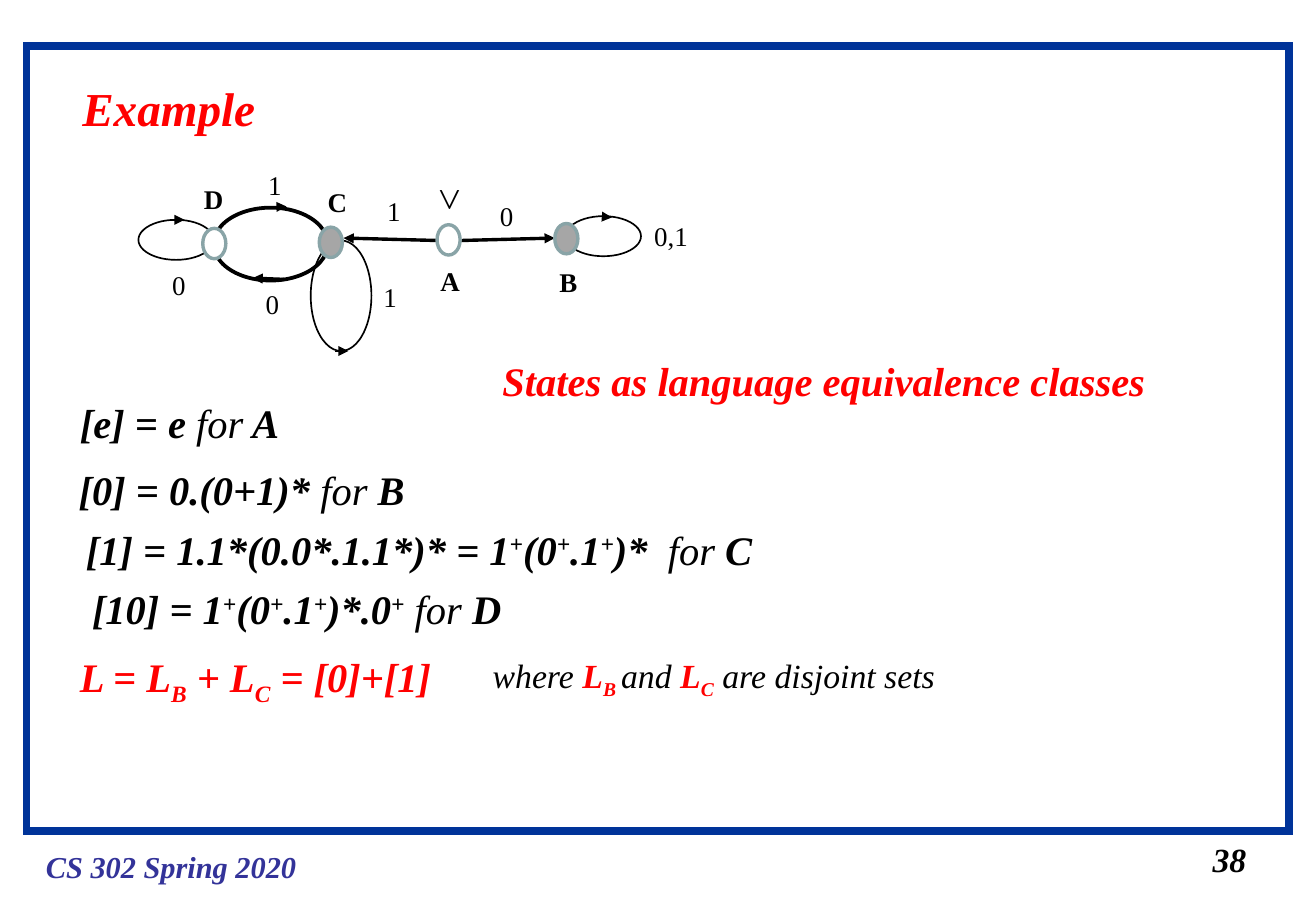
import pptx
import pptx.util
import pptx.dml.color
import pptx.enum.shapes
import pptx.enum.text
import pptx.oxml.ns
import lxml.etree

PX = 9144  # 100 px to the inch
SIZE = (1084, 750)
FONT = "Times New Roman"
HUES = {"black": "000000", "white": "FFFFFF", "red": "FF0000", "gray": "A6A6A6",
        "rim": "89A4A7", "frame": "003399", "foot": "333399"}

FRAME = (22, 38, 1040, 646)
NODE = (19, 25)
LOOP = (62, 33)

# name, node corner, fill, label box
STATES = [
    ("D", (167, 188), "white", (158, 145, 45, 37)),
    ("C", (263, 187), "gray", (260, 148, 46, 37)),
    ("A", (360, 185), "white", (353, 213, 33, 37)),
    ("B", (457, 184), "gray", (451, 214, 47, 37)),
]
# box, line width
CURVES = [
    ((466, 178, *LOOP), 1),
    ((256, 198, 50, 91), 1),
    ((114, 181, *LOOP), 1),
    ((176, 171, 94, 60), 2.25),
]
# start, end, line width
ARROWS = [
    ((491, 178), (504, 179), 0.25),
    ((276, 289), (287, 289), 0.25),
    ((139, 181), (152, 181), 0.25),
    ((210, 171), (236, 170), 0.25),
    ((234, 230), (208, 229), 2),
    ((380, 198), (457, 196), 2),
    ((360, 198), (283, 196), 2),
]
# symbol, corner
INPUTS = [("0", (402, 159)), ("1", (309, 155)), ("1", (306, 226)), ("0", (209, 232)),
          ("1", (211, 134)), ("0", (132, 216))]

# box, size, wrap, runs of (text, marks): b bold, i italic, r red, f footer, + raised, - lowered
LINES = [
    ((28, 693, 226, 40), 18, False, [("CS 302 Spring 2020", "bif")]),
    ((58, 60, 200, 57), 28, True, [("Example", "bir")]),
    ((989, 686, 48, 44), 20, False, [("38", "bi")]),
    ((404, 288, 558, 50), 24, False, [("States as language equivalence classes", "bir")]),
    ((529, 176, 48, 37), 16, True, [("0,1", "")]),
    ((56, 323, 185, 50), 24, False, [("[e] = e ", "bi"), ("for", "i"), (" A", "bi")]),
    ((55, 378, 304, 50), 24, True, [("[0] = 0.(0+1)* ", "bi"), ("for ", "i"), ("B", "bi")]),
    ((61, 427, 569, 50), 24, False, [
        ("[1] = 1.1*(0.0*.1.1*)* = 1", "bi"), ("+", "bi+"), ("(0", "bi"), ("+", "bi+"),
        (".1", "bi"), ("+", "bi+"), (")*  ", "bi"), ("for ", "i"), ("C", "bi")]),
    ((66, 476, 357, 50), 24, False, [
        ("[10] = 1", "bi"), ("+", "bi+"), ("(0", "bi"), ("+", "bi+"), (".1", "bi"),
        ("+", "bi+"), (")*.0", "bi"), ("+", "bi+"), (" for ", "i"), ("D", "bi")]),
    ((56, 532, 327, 56), 24, False, [
        ("L = L", "bir"), ("B", "bir-"), (" + L", "bir"), ("C", "bir-"), (" = [0]+[1]", "bir")]),
    ((396, 534, 386, 48), 20, False, [
        ("where ", "i"), ("L", "bir"), ("B ", "bir-"), ("and ", "i"),
        ("L", "bir"), ("C", "bir-"), (" are disjoint sets", "i")]),
]
START = ((353, 140, 39, 50), 24, False, [(">", "")])


def emu(nums):
    return [n * PX for n in nums]


def hue(name):
    return pptx.dml.color.RGBColor.from_string(HUES[name])


def add(root, name, **attrs):
    lxml.etree.SubElement(root, pptx.oxml.ns.qn(name), **attrs)


def shape(kind, box, rim, width, fill=None):
    item = slide.shapes.add_shape(kind, *emu(box))
    item.shadow.inherit = False
    item.line.color.rgb = hue(rim)
    item.line.width = pptx.util.Pt(width)
    add(item.get_or_add_ln(), "a:miter", lim="800000")
    if fill:
        item.fill.solid()
        item.fill.fore_color.rgb = hue(fill)
    else:
        item.fill.background()


def arrow(start, end, width):
    item = slide.shapes.add_connector(
        pptx.enum.shapes.MSO_CONNECTOR.STRAIGHT, *emu(start + end))
    item.line.color.rgb = hue("black")
    item.line.width = pptx.util.Pt(width)
    add(item.get_or_add_ln(), "a:tailEnd", type="triangle")
    add(item._element.spPr, "a:effectLst")


def write(box, size, wrap, runs):
    item = slide.shapes.add_textbox(*emu(box))
    frame = item.text_frame
    frame.word_wrap = wrap
    frame.auto_size = pptx.enum.text.MSO_AUTO_SIZE.SHAPE_TO_FIT_TEXT
    for text, marks in runs:
        run = frame.paragraphs[0].add_run()
        run.text = text
        font = run.font
        font.name = FONT
        font.size = pptx.util.Pt(size)
        font.bold = "b" in marks
        font.italic = "i" in marks
        font.color.rgb = hue("red" if "r" in marks else "foot" if "f" in marks else "black")
        for mark, shift in (("+", "30000"), ("-", "-25000")):
            if mark in marks:
                run._r.get_or_add_rPr().set("baseline", shift)
    return item


deck = pptx.Presentation()
deck.slide_width, deck.slide_height = emu(SIZE)
slide = deck.slides.add_slide(deck.slide_layouts[6])
KIND = pptx.enum.shapes.MSO_SHAPE

shape(KIND.RECTANGLE, FRAME, "frame", 4.5)
for box, width in CURVES:
    shape(KIND.OVAL, box, "black", width)
for start, end, width in ARROWS:
    arrow(start, end, width)
for name, spot, fill, box in STATES:
    shape(KIND.OVAL, spot + NODE, "rim", 2, fill)
    write(box, 16, True, [(name, "b")])
for sign, spot in INPUTS:
    write(spot + (31, 37), 16, False, [(sign, "")])
write(*START).rotation = 90
for line in LINES:
    write(*line)

deck.save("out.pptx")
